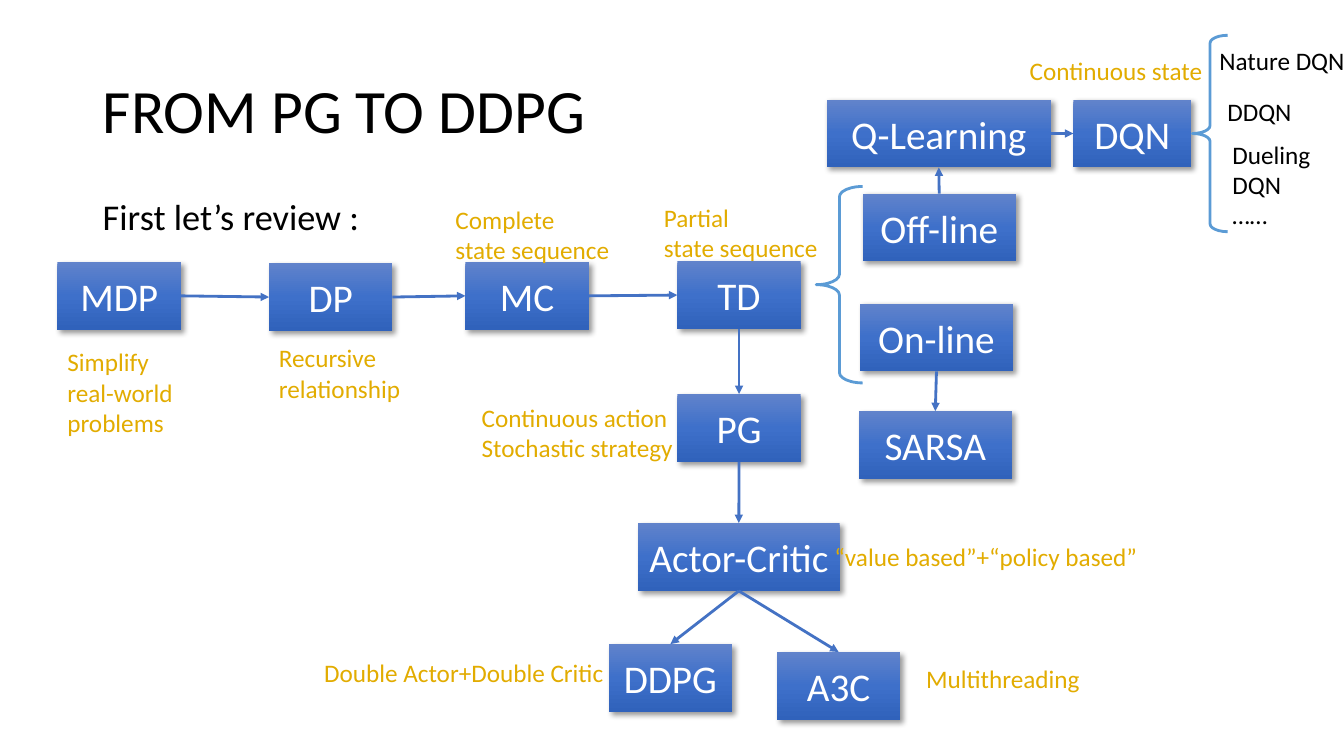
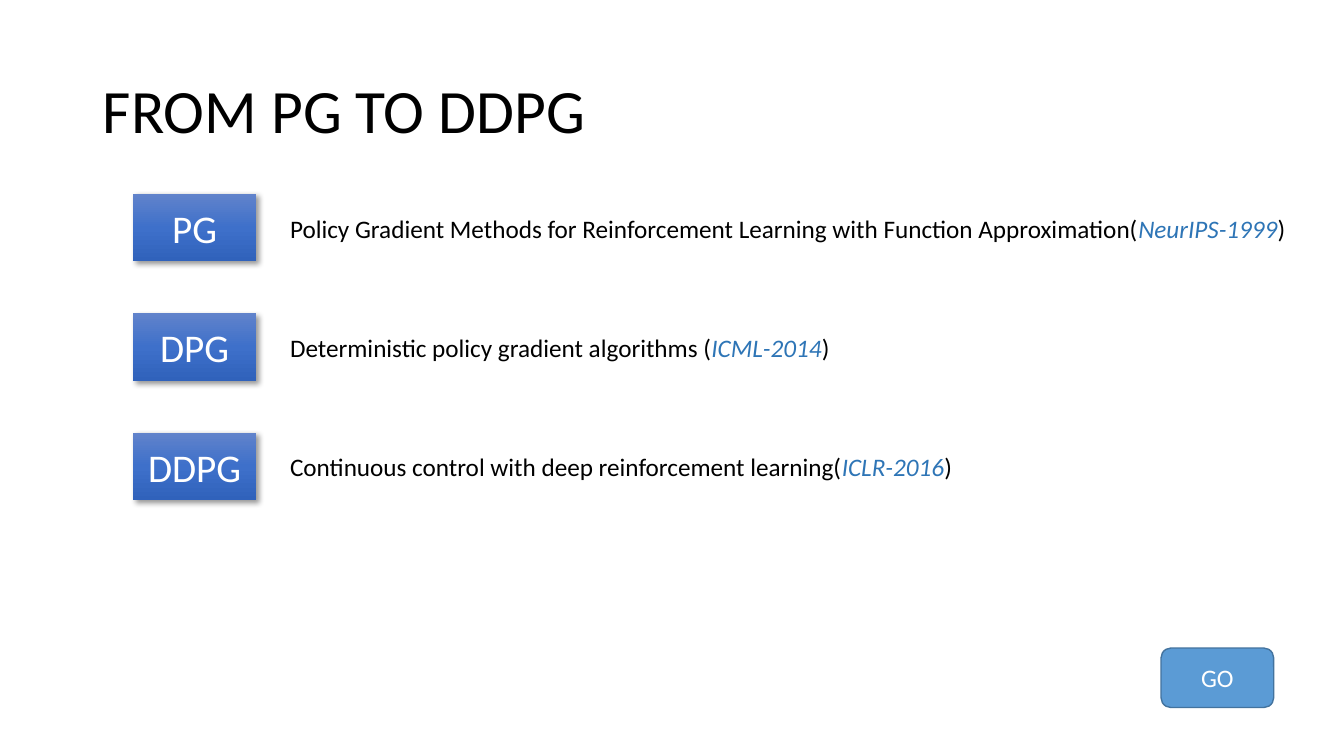
"""Builds two slides that lead from policy gradients to DDPG."""
from copy import deepcopy

from lxml import etree
from pptx import Presentation
from pptx.dml.color import RGBColor
from pptx.enum.shapes import MSO_CONNECTOR, MSO_SHAPE
from pptx.enum.text import MSO_ANCHOR, PP_ALIGN
from pptx.oxml.ns import qn
from pptx.util import Cm, Pt

RECT, ROUNDED, BRACE = MSO_SHAPE.RECTANGLE, MSO_SHAPE.ROUNDED_RECTANGLE, MSO_SHAPE.LEFT_BRACE
STRAIGHT = MSO_CONNECTOR.STRAIGHT
TOP, MIDDLE = MSO_ANCHOR.TOP, MSO_ANCHOR.MIDDLE
LEFT, CENTER = PP_ALIGN.LEFT, PP_ALIGN.CENTER
SITE_TOP, SITE_LEFT, SITE_BOTTOM, SITE_RIGHT = range(4)

FONT = "Calibri"
BLACK, WHITE, GOLD, CITATION = "000000", "FFFFFF", "E2AC00", "2E75B6"
ARROW, SKY, SKY_EDGE = "4472C4", "5B9BD5", "43739E"
GRADIENT = ((0, "6183CB"), (0.5, "3E70CA"), (1, "3062BB"))
BOX_WIDTH, BOX_HEIGHT = 3.11, 1.71
LINE_HEIGHT = 0.76
TITLE = "FROM PG TO DDPG"


def rgb(value):
    return RGBColor.from_string(value)


def write(frame, text, size=18, color=BLACK, align=LEFT, anchor=TOP, spacing=None, before=None):
    frame.word_wrap = True
    frame.vertical_anchor = anchor
    for index, line in enumerate(text.split("\n")):
        paragraph = frame.paragraphs[0] if index == 0 else frame.add_paragraph()
        paragraph.alignment = align
        paragraph.line_spacing = spacing
        if before:
            paragraph.space_before = Pt(before)
        for position, piece in enumerate(line.split("*")):
            cited = position % 2 == 1
            run = paragraph.add_run()
            run.text = piece
            run.font.name = FONT
            run.font.size = Pt(size)
            run.font.italic = cited
            run.font.color.rgb = rgb(CITATION if cited else color)


class Deck:
    def __init__(self):
        self.presentation = Presentation()
        self.presentation.slide_width = Cm(33.87)
        self.presentation.slide_height = Cm(19.05)
        self.shapes = None

    def new_slide(self, title):
        layout = self.presentation.slide_layouts[6]
        self.shapes = self.presentation.slides.add_slide(layout).shapes
        self.text(title, 2.34, 1.02, 14.12, 3.68, size=44, anchor=MIDDLE, spacing=0.9)

    def text(self, text, left, top, width, height=None, **style):
        if height is None:
            height = 0.25 + LINE_HEIGHT * len(text.split("\n"))
        area = self.shapes.add_textbox(Cm(left), Cm(top), Cm(width), Cm(height))
        write(area.text_frame, text, **style)

    def shape(self, preset, left, top, width, height):
        shape = self.shapes.add_shape(preset, Cm(left), Cm(top), Cm(width), Cm(height))
        shape.shadow.inherit = False
        return shape

    def box(self, text, left, top, width=BOX_WIDTH):
        box = self.shape(RECT, left, top, width, BOX_HEIGHT)
        box.line.fill.background()
        box.fill.gradient()
        box.fill.gradient_angle = 270
        properties = box._element.spPr
        stop_list = properties.find(".//" + qn("a:gsLst"))
        stop_list.append(deepcopy(stop_list[0]))
        for stop, (position, color) in zip(box.fill.gradient_stops, GRADIENT):
            stop.position = position
            stop.color.rgb = rgb(color)
        shadow = etree.SubElement(properties.find(qn("a:effectLst")), qn("a:outerShdw"),
                                  blurRad="50800", dist="38100", dir="2700000", algn="tl")
        shade = etree.SubElement(shadow, qn("a:srgbClr"), val=BLACK)
        etree.SubElement(shade, qn("a:alpha"), val="40000")
        write(box.text_frame, text, size=28, color=WHITE, align=CENTER, anchor=MIDDLE)
        return box

    def brace(self, left, top, width, height):
        brace = self.shape(BRACE, left, top, width, height)
        brace.adjustments[0] = 0.223
        brace.fill.background()
        brace.line.color.rgb = rgb(SKY)
        brace.line.width = Pt(2)

    def button(self, text, left, top, width, height):
        button = self.shape(ROUNDED, left, top, width, height)
        button.fill.solid()
        button.fill.fore_color.rgb = rgb(SKY)
        button.line.color.rgb = rgb(SKY_EDGE)
        button.line.width = Pt(1)
        write(button.text_frame, text, color=WHITE, align=CENTER, anchor=MIDDLE)

    def arrow(self, source, source_site, target, target_site):
        arrow = self.shapes.add_connector(STRAIGHT, 0, 0, 0, 0)
        arrow.begin_connect(source, source_site)
        arrow.end_connect(target, target_site)
        arrow.line.color.rgb = rgb(ARROW)
        arrow.line.width = Pt(2)
        properties = arrow._element.spPr
        etree.SubElement(properties.find(qn("a:ln")), qn("a:tailEnd"), type="triangle")
        etree.SubElement(properties, qn("a:effectLst"))


def build_review(deck):
    deck.new_slide(TITLE)
    deck.text("First let’s review :", 2.34, 5.08, 21.16, 1.04, size=25.9, spacing=0.7, before=10)

    methods = (
        ("MDP", 1.45, 6.6), ("DP", 6.78, 6.63), ("MC", 11.73, 6.6), ("TD", 17.07, 6.58),
        ("PG", 17.07, 9.93), ("Actor-Critic", 16.08, 13.18, 5.08),
        ("DDPG", 15.34, 16.23), ("A3C", 19.58, 16.43),
        ("Off-line", 21.74, 4.88, 3.86), ("On-line", 21.67, 7.65, 3.86),
        ("SARSA", 21.64, 10.36, 3.86), ("Q-Learning", 20.83, 2.51, 5.66),
        ("DQN", 27.05, 2.51, 2.97),
    )
    boxes = {name: deck.box(name, *place) for name, *place in methods}

    rightward = (SITE_RIGHT, SITE_LEFT)
    downward = (SITE_BOTTOM, SITE_TOP)
    upward = (SITE_TOP, SITE_BOTTOM)
    steps = (
        ("MDP", "DP", rightward), ("DP", "MC", rightward), ("MC", "TD", rightward),
        ("TD", "PG", downward), ("PG", "Actor-Critic", downward),
        ("Actor-Critic", "DDPG", downward), ("Actor-Critic", "A3C", downward),
        ("Off-line", "Q-Learning", upward), ("On-line", "SARSA", downward),
        ("Q-Learning", "DQN", rightward),
    )
    for source, target, (start, end) in steps:
        deck.arrow(boxes[source], start, boxes[target], end)

    deck.brace(20.57, 4.7, 1.17, 4.95)
    deck.brace(30.05, 0.89, 0.89, 4.95)

    variants = (
        ("Nature DQN", 30.48, 1.02, 3.73),
        ("DDQN", 30.68, 2.31, 2.29),
        ("Dueling DQN\n……", 30.81, 3.38, 3.1),
    )
    for variant in variants:
        deck.text(*variant)

    remarks = (
        ("Simplify\nreal-world\nproblems", 1.45, 8.61, 3.2),
        ("Recursive\nrelationship", 6.78, 8.51, 3.61),
        ("Complete\nstate sequence", 11.23, 5.03, 4.5),
        ("Partial\nstate sequence", 16.48, 4.98, 4.57),
        ("Continuous action\nStochastic strategy", 11.89, 10.01, 5.4),
        ("Continuous state", 25.7, 1.27, 4.9),
        ("“value based”+“policy based”", 20.78, 13.51, 9.73),
        ("Double Actor+Double Critic", 7.92, 16.43, 7.65),
        ("Multithreading", 23.09, 16.59, 4.42),
    )
    for remark in remarks:
        deck.text(*remark, color=GOLD)


def build_papers(deck):
    deck.new_slide(TITLE)
    papers = (
        ("PG", "Policy Gradient Methods for Reinforcement Learning with "
               "Function Approximation(*NeurIPS-1999*)"),
        ("DPG", "Deterministic policy gradient algorithms (*ICML-2014*)"),
        ("DDPG", "Continuous control with deep reinforcement learning(*ICLR-2016*)"),
    )
    for row, (method, paper) in enumerate(papers):
        top = 4.88 + 3.01 * row
        deck.box(method, 3.35, top)
        deck.text(paper, 7.06, top + 0.36, 26.5)
    deck.button("GO", 29.26, 16.33, 2.84, 1.5)


def main():
    deck = Deck()
    build_review(deck)
    build_papers(deck)
    deck.presentation.save("out.pptx")


if __name__ == "__main__":
    main()
